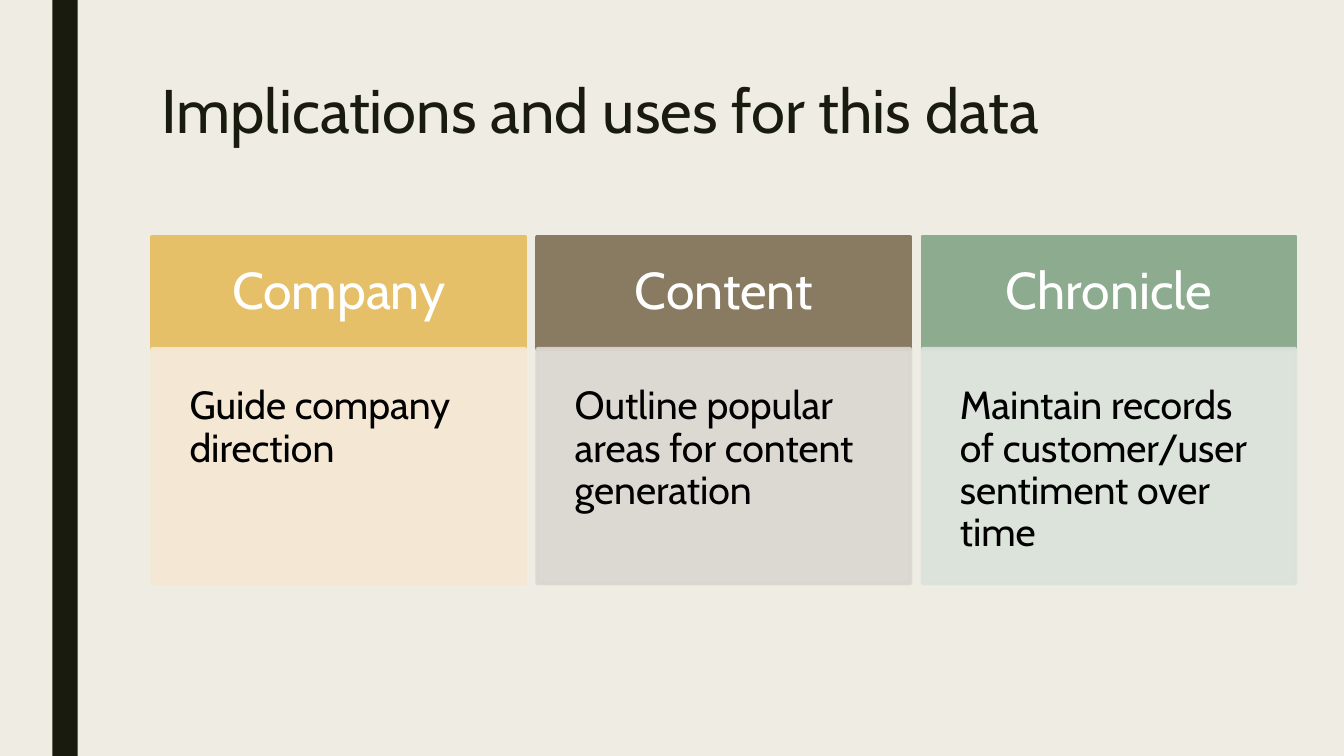
from dataclasses import dataclass

import pptx
import pptx.dml.color
import pptx.enum.shapes
import pptx.enum.text
import pptx.oxml.ns
import pptx.util
from lxml import etree

Inches = pptx.util.Inches
Pt = pptx.util.Pt
Anchor = pptx.enum.text.MSO_ANCHOR
Align = pptx.enum.text.PP_ALIGN


@dataclass(frozen=True)
class Theme:
    font: str = "Cabin"
    background: str = "EFEDE3"
    dark: str = "191B0E"
    white: str = "FFFFFF"
    black: str = "000000"
    title_size: int = 44
    heading_size: int = 37
    body_size: int = 28
    border: float = 2.75


THEME = Theme()

COLUMNS = [
    ("Company", "Guide company direction", "E6C069", "F5E8D4"),
    ("Content", "Outline popular areas for content generation", "897B61", "DAD7D2"),
    ("Chronicle", "Maintain records of customer/user sentiment over time", "8DAB8E", "DBE2DB"),
]
COLUMN_LEFT, COLUMN_STEP, COLUMN_WIDTH = 1.51, 3.82, 3.7
HEADING_TOP, HEADING_HEIGHT, BODY_HEIGHT = 2.35, 1.11, 2.33


def rgb(color):
    return pptx.dml.color.RGBColor.from_string(color)


def paint(fill, color, opacity=100):
    fill.solid()
    fill.fore_color.rgb = rgb(color)
    if opacity < 100:
        for element in fill._xPr.iter(pptx.oxml.ns.qn("a:srgbClr")):
            if len(element) == 0:
                alpha = etree.SubElement(element, pptx.oxml.ns.qn("a:alpha"))
                alpha.set("val", str(opacity * 1000))


def add_block(slide, left, top, width, height, color, opacity=100, border=True):
    shape = slide.shapes.add_shape(
        pptx.enum.shapes.MSO_SHAPE.RECTANGLE,
        Inches(left), Inches(top), Inches(width), Inches(height))
    shape.shadow.inherit = False
    paint(shape.fill, color, opacity)
    if border:
        shape.line.width = Pt(THEME.border)
        paint(shape.line.fill, color, opacity)
    else:
        shape.line.fill.background()
    return shape


def set_text(shape, text, size, color, inset, anchor=Anchor.TOP,
             alignment=Align.LEFT, line_spacing=0.9):
    frame = shape.text_frame
    frame.text = text
    frame.word_wrap = True
    frame.vertical_anchor = anchor
    frame.margin_left = frame.margin_right = Inches(inset)
    frame.margin_top = frame.margin_bottom = Inches(inset)
    paragraph = frame.paragraphs[0]
    paragraph.alignment = alignment
    paragraph.line_spacing = line_spacing
    font = paragraph.runs[0].font
    font.name = THEME.font
    font.size = Pt(size)
    font.color.rgb = rgb(color)


def add_title(slide, text):
    box = slide.shapes.add_textbox(Inches(1.5), Inches(0.75), Inches(10.5), Inches(0.78))
    set_text(box, text, THEME.title_size, THEME.dark, 0.1, line_spacing=0.89)
    box.text_frame.margin_top = box.text_frame.margin_bottom = Inches(0.05)


def add_column(slide, left, heading, body, strong, pale):
    header = add_block(slide, left, HEADING_TOP, COLUMN_WIDTH, HEADING_HEIGHT, strong)
    set_text(header, heading, THEME.heading_size, THEME.white, 0.29,
             Anchor.MIDDLE, Align.CENTER)
    panel = add_block(slide, left, HEADING_TOP + HEADING_HEIGHT,
                      COLUMN_WIDTH, BODY_HEIGHT, pale, opacity=90)
    set_text(panel, body, THEME.body_size, THEME.black, 0.37)


def main():
    presentation = pptx.Presentation()
    presentation.slide_width = Inches(13.33)
    presentation.slide_height = Inches(7.5)
    slide = presentation.slides.add_slide(presentation.slide_layouts[6])
    paint(slide.background.fill, THEME.background)
    add_block(slide, 0.52, 0, 0.25, 7.5, THEME.dark, border=False)
    add_title(slide, "Implications and uses for this data")
    for index, column in enumerate(COLUMNS):
        add_column(slide, COLUMN_LEFT + index * COLUMN_STEP, *column)
    presentation.save("out.pptx")


if __name__ == "__main__":
    main()
